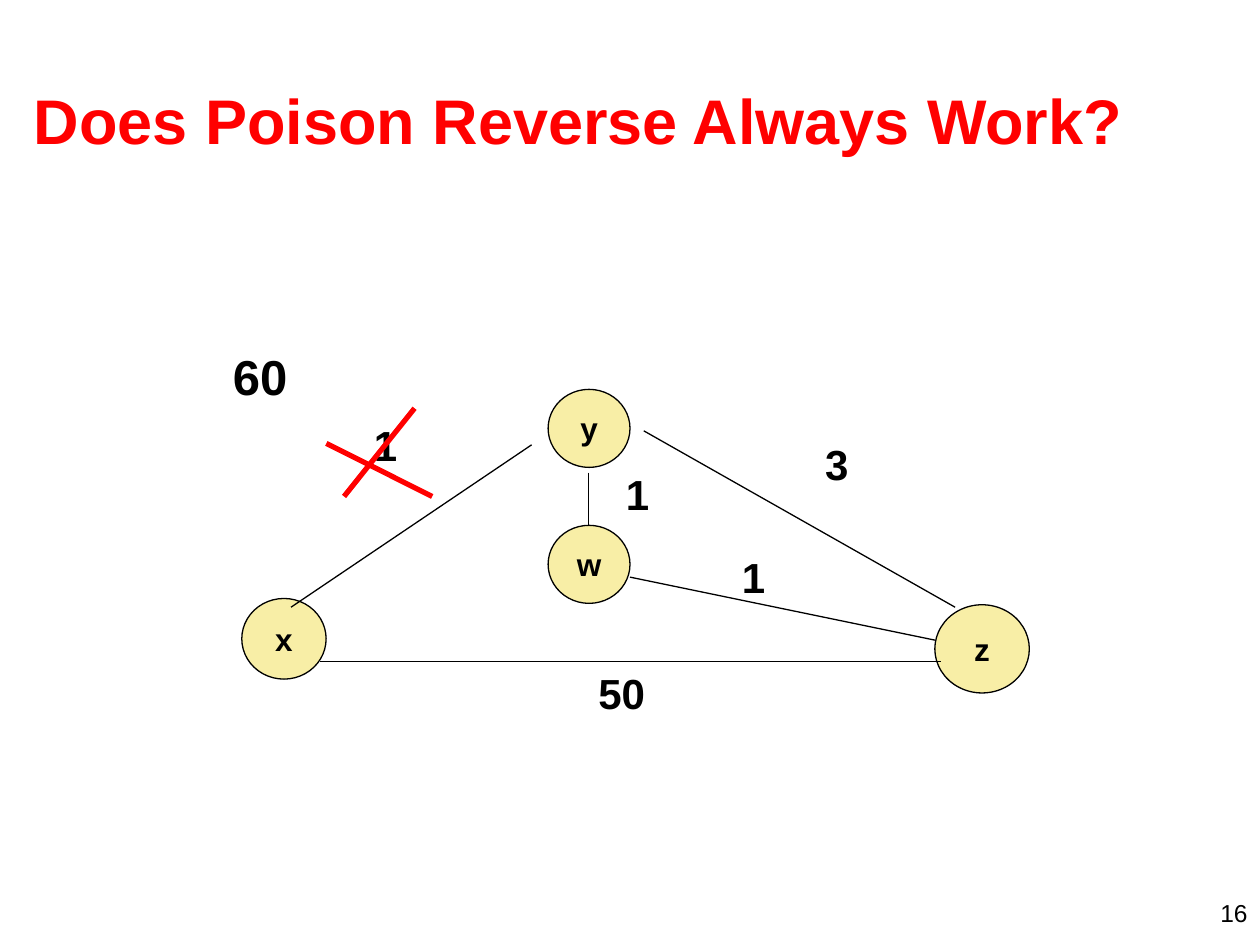
"""Build a slide on poison reverse with a four-node weighted graph."""
from pptx import Presentation
from pptx.dml.color import RGBColor
from pptx.enum import shapes, text
from pptx.oxml.ns import qn
from pptx.util import Pt
from lxml import etree

RED = RGBColor(0xFF, 0x00, 0x00)
BLACK = RGBColor(0x00, 0x00, 0x00)
CREAM = RGBColor(0xF8, 0xEE, 0xA6)
ALIGN = text.PP_ALIGN
ANCHOR = text.MSO_ANCHOR

NODES = [
    ("y", 313.2, 222.5, 46.8, 44.6),
    ("x", 138.2, 342, 48.2, 46.1),
    ("z", 534.2, 345.6, 54, 50.4),
    ("w", 313.2, 300.2, 46.8, 44.6),
]
EDGES = [
    (182.9, 378, 537.8, 378),
    (166.3, 347, 303.8, 254.2),
    (367.9, 246.2, 545.8, 347),
    (336.2, 270, 336.2, 300.2),
    (360, 329.8, 534.2, 365.8),
]
COSTS = [
    ("1", 206.6, 236.2, 56.2, 24),
    ("3", 464.4, 247, 27.4, 24),
    ("50", 334.8, 378, 80.6, 24),
    ("60", 126, 194.4, 80.6, 28),
    ("1", 350.6, 264.2, 27.4, 24),
    ("1", 416.9, 311.8, 27.4, 24),
]
CROSS = [(186.5, 253.4, 247, 283.7), (236.9, 233.3, 196.6, 283.7)]


def write(frame, words, size, color=BLACK, bold=True, align=ALIGN.LEFT):
    """Fill a text frame with one styled paragraph."""
    frame.text = words
    para = frame.paragraphs[0]
    para.alignment = align
    font = para.runs[0].font
    font.name, font.size, font.bold = "Arial", Pt(size), bold
    font.color.rgb = color
    return para


def add_title(slide, words):
    """Place and style the title."""
    title = slide.shapes.title
    title.left, title.top = Pt(12.2), Pt(23)
    title.width, title.height = Pt(689.8), Pt(90)
    frame = title.text_frame
    frame.vertical_anchor = ANCHOR.MIDDLE
    frame.auto_size = text.MSO_AUTO_SIZE.NONE
    write(frame, words, 36, RED)


def add_node(slide, name, *box):
    """Draw a round node with its name."""
    node = slide.shapes.add_shape(shapes.MSO_SHAPE.OVAL, *map(Pt, box))
    node.shadow.inherit = False
    node.fill.solid()
    node.fill.fore_color.rgb = CREAM
    node.line.color.rgb = BLACK
    node.line.width = Pt(0.74)
    frame = node.text_frame
    frame.word_wrap = False
    frame.vertical_anchor = ANCHOR.MIDDLE
    write(frame, name, 18, align=ALIGN.CENTER)


def add_line(slide, ends, color=BLACK, width=0.74):
    """Draw a straight line without a shadow."""
    line = slide.shapes.add_connector(
        shapes.MSO_CONNECTOR.STRAIGHT, *map(Pt, ends))
    line.line.color.rgb = color
    line.line.width = Pt(width)
    etree.SubElement(line._element.spPr, qn("a:effectLst"))


def add_label(slide, words, box, size, **style):
    """Add a text box and return its paragraph."""
    frame = slide.shapes.add_textbox(*map(Pt, box)).text_frame
    frame.word_wrap = True
    return write(frame, words, size, **style)


def add_cost(slide, words, left, top, width, size):
    """Add the cost of an edge."""
    box = (left, top, width, size * 1.2 + 7.2)
    para = add_label(slide, words, box, size)
    para.space_before = Pt(size * 0.625)


def main():
    """Build and save the slide."""
    deck = Presentation()
    deck.slide_width, deck.slide_height = Pt(720), Pt(540)
    slide = deck.slides.add_slide(deck.slide_layouts[5])
    add_title(slide, "Does Poison Reverse Always Work?")
    for node in NODES:
        add_node(slide, *node)
    for edge in EDGES:
        add_line(slide, edge)
    for cost in COSTS:
        add_cost(slide, *cost)
    for stroke in CROSS:
        add_line(slide, stroke, RED, 3)
    add_label(slide, "16", (552.2, 509.8, 167.8, 18), 14,
              bold=False, align=ALIGN.RIGHT)
    deck.save("out.pptx")


main()
